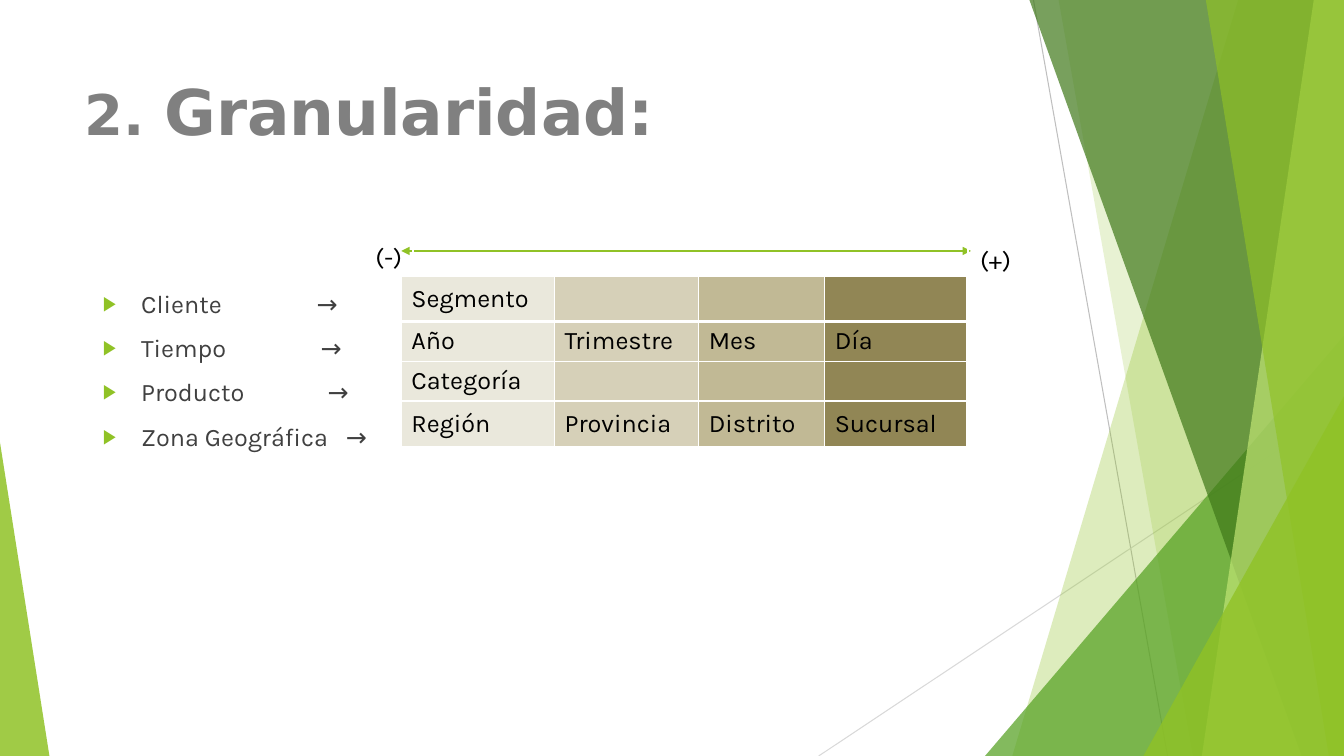
from lxml.etree import SubElement
from pptx import Presentation
from pptx.dml.color import RGBColor
from pptx.enum.shapes import MSO_CONNECTOR, MSO_SHAPE
from pptx.enum.text import MSO_ANCHOR, MSO_AUTO_SIZE, PP_ALIGN
from pptx.oxml.ns import qn
from pptx.util import Inches, Pt

WIDTH, HEIGHT = 13.33, 7.5
COLORS = {
    "white": "FFFFFF", "black": "000000", "title": "808080", "body": "404040",
    "lime": "90C226", "green": "54A021", "dark": "3F7819", "pale": "C0E474",
    "rule": "BFBFBF", "light_rule": "D9D9D9",
}
TITLE = [("2. ", 40), ("Granularidad:", 45)]
# Dimension and the tab stop of its arrow
DIMENSIONS = [("Cliente", 2.12), ("Tiempo", 2.16), ("Producto", 2.23),
              ("Zona Geográfica", 2.41)]
LEVELS = [
    ("Segmento", "", "", ""),
    ("Año", "Trimestre", "Mes", "Día"),
    ("Categoría", "", "", ""),
    ("Región", "Provincia", "Distrito", "Sucursal"),
]
COLUMNS = [(1.52, "EAE8DC"), (1.43, "D6D0B8"), (1.25, "C1B995"), (1.41, "918655")]
ROW_HEIGHTS = [0.45, 0.39, 0.39, 0.45]
SCALE_ENDS = [("(-)", 3.61, 2.4, 0.49), ("(+)", 9.6, 2.43, 0.55)]
# Decoration from back to front; bands run from a top x and a bottom x to the right edge
RULES = [((10.25, 0), (11.58, HEIGHT), "rule"),
         ((WIDTH, 4.03), (8.12, HEIGHT), "light_rule")]
DECORATION = [
    ("band", (12.28, 10.04), "lime", 30),
    ("band", (10.5, 11.83), "lime", 20),
    ("triangle", (9.77, 3.33, 3.56, 1), "green", 72),
    ("band", (10.21, 12.91), "dark", 70),
    ("band", (13.03, 11.92), "pale", 70),
    ("band", (11.96, 13.18), "lime", 65),
    ("triangle", (11.34, 3.93, 1.99, 1), "lime", 80),
    ("triangle", (0, 4.39, 0.49, 0), "lime", 85),
]


def rgb(name):
    """Return the colour for a palette name or a hex string."""
    return RGBColor.from_string(COLORS.get(name, name))


def box(*lengths):
    """Turn inch values into lengths."""
    return [Inches(v) for v in lengths]


def add_text(p, text, size=18, font="Karla", color="black", bold=False, align=PP_ALIGN.LEFT):
    """Add a formatted run to a paragraph."""
    p.alignment = align
    r = p.add_run()
    r.text = text
    r.font.size, r.font.name, r.font.bold = Pt(size), font, bold
    r.font.color.rgb = rgb(color)


def add_line(s, start, end, color, width=0.75, arrows=False):
    """Draw a straight line, with arrowheads at both ends if asked."""
    sp = s.shapes.add_connector(MSO_CONNECTOR.STRAIGHT, *box(*start, *end))
    sp.line.color.rgb, sp.line.width = rgb(color), Pt(width)
    if arrows:
        ln = sp.line._get_or_add_ln()
        for tag in ("a:headEnd", "a:tailEnd"):
            SubElement(ln, qn(tag), type="triangle")
    SubElement(sp._element.spPr, qn("a:effectLst"))


def add_decoration(s, kind, geometry, color, opacity):
    """Draw one translucent band or corner triangle."""
    if kind == "band":
        top, bottom = geometry
        points = [box(*pt) for pt in ((top, 0), (WIDTH, 0), (WIDTH, HEIGHT), (bottom, HEIGHT))]
        builder = s.shapes.build_freeform(*points[0], scale=1.0)
        builder.add_line_segments(points[1:], close=True)
        sp = builder.convert_to_shape()
    else:
        x, y, w, apex = geometry
        sp = s.shapes.add_shape(MSO_SHAPE.ISOSCELES_TRIANGLE, *box(x, y, w, HEIGHT - y))
        sp.adjustments[0] = apex
    sp.shadow.inherit = False
    sp.line.fill.background()
    sp.fill.solid()
    sp.fill.fore_color.rgb = rgb(color)
    clr = sp._element.spPr.find(".//" + qn("a:srgbClr"))
    SubElement(clr, qn("a:alpha"), val=str(opacity * 1000))


def place(sp, *lengths):
    """Move a placeholder to the front and set its frame."""
    sp._element.getparent().append(sp._element)
    sp.left, sp.top, sp.width, sp.height = box(*lengths)
    tf = sp.text_frame
    tf.word_wrap, tf.auto_size = True, MSO_AUTO_SIZE.NONE
    tf.vertical_anchor = MSO_ANCHOR.TOP
    return tf


def add_bullet(p, tab):
    """Give a paragraph a green arrow bullet and one tab stop."""
    p.space_before = Pt(10)
    pPr = p._p.get_or_add_pPr()
    indent = Inches(0.38)
    pPr.set("marL", str(indent))
    pPr.set("indent", str(-indent))
    SubElement(SubElement(pPr, qn("a:buClr")), qn("a:srgbClr"), val=COLORS["lime"])
    SubElement(pPr, qn("a:buSzPct"), val="80000")
    SubElement(pPr, qn("a:buChar"), char="▶")
    SubElement(SubElement(pPr, qn("a:tabLst")), qn("a:tab"), pos=str(Inches(tab)), algn="l")


def set_borders(cell, bottom):
    """Give a cell white borders, with its own bottom width."""
    tcPr = cell._tc.get_or_add_tcPr()
    for i, (side, width) in enumerate((("L", 1), ("R", 1), ("T", 1), ("B", bottom))):
        ln = tcPr.makeelement(qn("a:ln" + side), {"w": str(Pt(width))})
        SubElement(SubElement(ln, qn("a:solidFill")), qn("a:srgbClr"), val=COLORS["white"])
        tcPr.insert(i, ln)


def add_levels(s):
    """Build the table of detail levels."""
    frame = s.shapes.add_table(len(LEVELS), len(COLUMNS), *box(
        3.98, 2.74, sum(w for w, _ in COLUMNS), sum(ROW_HEIGHTS)))
    table = frame.table
    table.first_row = table.horz_banding = False
    for column, (width, _) in zip(table.columns, COLUMNS):
        column.width = Inches(width)
    for i, (texts, height) in enumerate(zip(LEVELS, ROW_HEIGHTS)):
        table.rows[i].height = Inches(height)
        for j, (text, (_, color)) in enumerate(zip(texts, COLUMNS)):
            cell = table.cell(i, j)
            cell.vertical_anchor = MSO_ANCHOR.MIDDLE
            cell.fill.solid()
            cell.fill.fore_color.rgb = rgb(color)
            set_borders(cell, 3 if i == 0 else 1)
            add_text(cell.text_frame.paragraphs[0], text)


prs = Presentation()
prs.slide_width, prs.slide_height = box(WIDTH, HEIGHT)
s = prs.slides.add_slide(prs.slide_layouts[1])

for rule in RULES:
    add_line(s, *rule)
for item in DECORATION:
    add_decoration(s, *item)

tf = place(s.shapes.title, 0.74, 0.67, 9.4, 1.44)
for text, size in TITLE:
    add_text(tf.paragraphs[0], text, size=size, font="DejaVu Sans", color="title", bold=True)

tf = place(s.placeholders[1], 0.92, 2.81, 11.5, 4.76)
for i, (name, tab) in enumerate(DIMENSIONS):
    p = tf.add_paragraph() if i else tf.paragraphs[0]
    add_bullet(p, tab)
    add_text(p, f"{name}\t→", color="body")

add_levels(s)
add_line(s, (3.98, 2.49), (9.63, 2.49), "lime", width=1, arrows=True)
for text, x, y, w in SCALE_ENDS:
    sp = s.shapes.add_shape(MSO_SHAPE.RECTANGLE, *box(x, y, w, 0.29))
    sp.shadow.inherit = False
    sp.fill.background()
    sp.line.color.rgb, sp.line.width = rgb("white"), Pt(1.5)
    sp.text_frame.vertical_anchor = MSO_ANCHOR.MIDDLE
    add_text(sp.text_frame.paragraphs[0], text, align=PP_ALIGN.CENTER)

prs.save("out.pptx")
